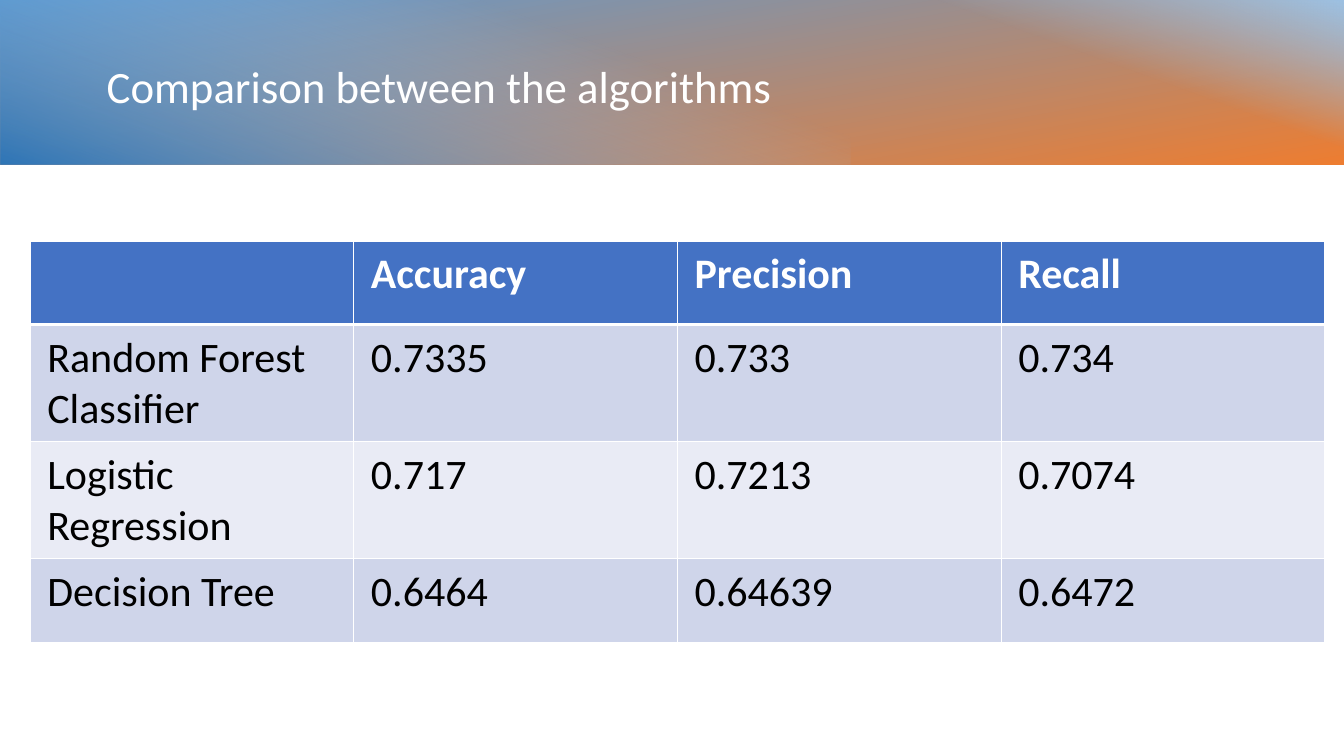
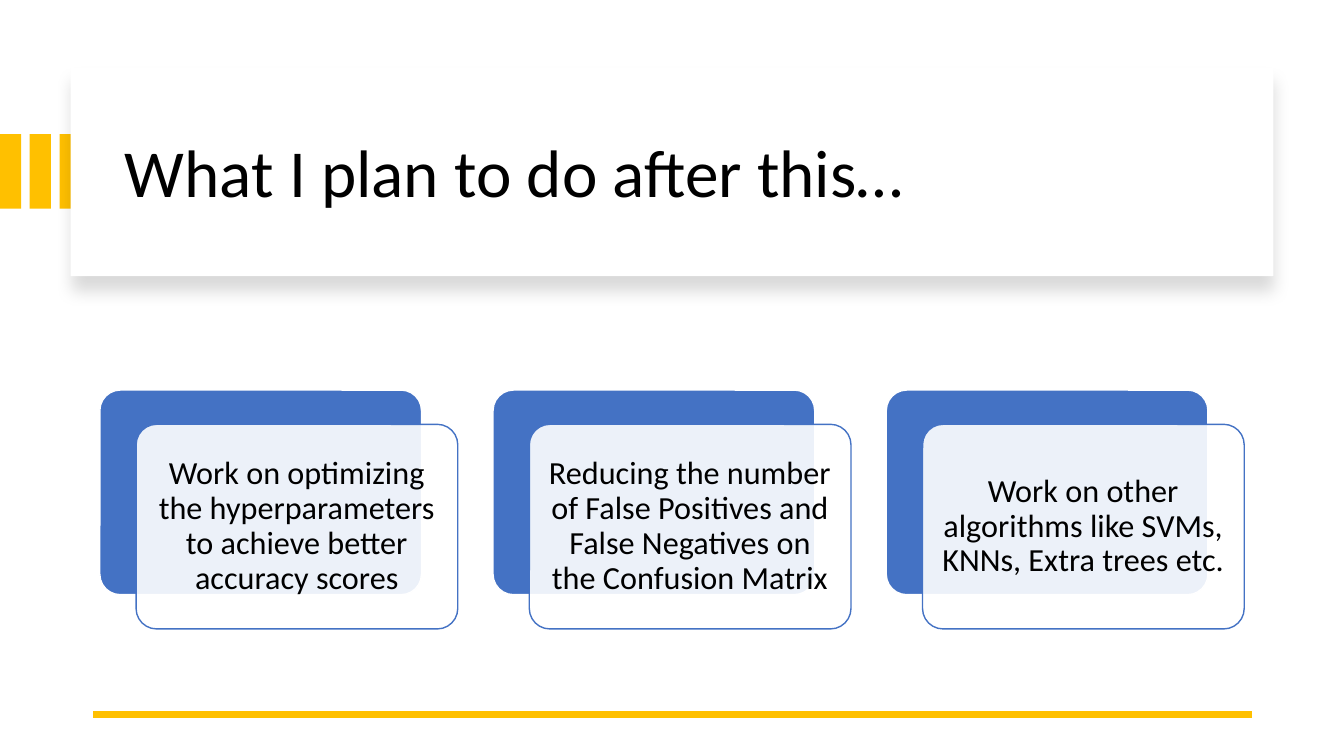
"""Build two slides: an algorithm comparison table and the planned next steps."""
from dataclasses import dataclass

from lxml import etree
from pptx import Presentation
from pptx import util as u
from pptx.dml.color import RGBColor
from pptx.enum import shapes, text
from pptx.oxml.ns import qn

FONT = "Calibri"
WHITE = RGBColor(0xFF, 0xFF, 0xFF)
BLACK = RGBColor(0x00, 0x00, 0x00)
BLUE = RGBColor(0x44, 0x72, 0xC4)
SKY = RGBColor(0x5B, 0x9B, 0xD5)
PALE_SKY = RGBColor(0x9D, 0xC3, 0xE6)
DEEP_BLUE = RGBColor(0x2E, 0x75, 0xB6)
ORANGE = RGBColor(0xED, 0x7D, 0x31)
GOLD = RGBColor(0xFF, 0xC0, 0x00)
BANDS = (RGBColor(0xCF, 0xD5, 0xEA), RGBColor(0xE9, 0xEB, 0xF5))
RECT = shapes.MSO_SHAPE.RECTANGLE
ROUNDED = shapes.MSO_SHAPE.ROUNDED_RECTANGLE


@dataclass(frozen=True)
class Box:
    left: float
    top: float
    width: float
    height: float

    def lengths(self) -> tuple:
        return tuple(u.Inches(v) for v in (self.left, self.top, self.width, self.height))


@dataclass(frozen=True)
class Stop:
    position: float
    color: RGBColor
    opacity: int = 100


@dataclass(frozen=True)
class BannerLayer:
    box: Box
    rotation: int
    stops: tuple
    angle: int


BANNER = (
    BannerLayer(Box(5.84, -5.87, 1.66, 13.34), 270, (Stop(0, SKY), Stop(1, ORANGE)), 170),
    BannerLayer(Box(9.75, -1.97, 1.65, 5.54), 270,
                (Stop(0.59, PALE_SKY, 0), Stop(1, PALE_SKY)), 20),
    BannerLayer(Box(3.39, -3.42, 1.66, 8.44), 90,
                (Stop(0.29, PALE_SKY, 0), Stop(1, DEEP_BLUE)), 20),
)
SCORES = (
    ("", "Accuracy", "Precision", "Recall"),
    ("Random Forest Classifier", "0.7335", "0.733", "0.734"),
    ("Logistic Regression", "0.717", "0.7213", "0.7074"),
    ("Decision Tree", "0.6464", "0.64639", "0.6472"),
)
PLANS = (
    "Work on optimizing the hyperparameters to achieve better accuracy scores",
    "Reducing the number of False Positives and False Negatives on the Confusion Matrix",
    "Work on other algorithms like SVMs, KNNs, Extra trees etc.",
)


def set_opacity(color_element, percent: int) -> None:
    etree.SubElement(color_element, qn("a:alpha"), val=str(percent * 1000))


def add_run(p, words: str, size: float, color: RGBColor, bold: bool = False) -> None:
    r = p.add_run()
    r.text = words
    r.font.name = FONT
    r.font.size = u.Pt(size)
    r.font.bold = bold
    r.font.color.rgb = color


def add_shape(s, kind, box: Box, fill: RGBColor, line: RGBColor | None = None):
    sp = s.shapes.add_shape(kind, *box.lengths())
    sp.shadow.inherit = False
    sp.fill.solid()
    sp.fill.fore_color.rgb = fill
    if line is None:
        sp.line.fill.background()
    else:
        sp.line.color.rgb = line
        sp.line.width = u.Pt(1)
    return sp


def add_title(s, words: str, box: Box, size: float, color: RGBColor) -> None:
    tf = s.shapes.add_textbox(*box.lengths()).text_frame
    tf.word_wrap = True
    tf.vertical_anchor = text.MSO_ANCHOR.MIDDLE
    p = tf.paragraphs[0]
    p.line_spacing = 0.9
    add_run(p, words, size, color)


def add_banner_layer(s, layer: BannerLayer) -> None:
    sp = add_shape(s, RECT, layer.box, WHITE)
    sp.rotation = layer.rotation
    sp.fill.gradient()
    sp.fill.gradient_angle = 360 - layer.angle
    for target, stop in zip(sp.fill.gradient_stops, layer.stops):
        target.position = stop.position
        target.color.rgb = stop.color
    for color, stop in zip(sp.element.spPr.iter(qn("a:srgbClr")), layer.stops):
        if stop.opacity < 100:
            set_opacity(color, stop.opacity)


def set_borders(cell, widths: dict) -> None:
    tc_pr = cell._tc.get_or_add_tcPr()
    for index, (side, width) in enumerate(widths.items()):
        ln = etree.Element(qn(f"a:ln{side}"), w=str(u.Pt(width)))
        fill = etree.SubElement(ln, qn("a:solidFill"))
        etree.SubElement(fill, qn("a:srgbClr"), val=str(WHITE))
        tc_pr.insert(index, ln)


def add_score_table(s, box: Box) -> None:
    frame = s.shapes.add_table(len(SCORES), len(SCORES[0]), *box.lengths())
    table = frame.table
    table.first_row = table.horz_banding = False
    for i, row in enumerate(SCORES):
        header = i == 0
        for j, words in enumerate(row):
            cell = table.cell(i, j)
            cell.margin_left = cell.margin_right = u.Inches(0.17)
            cell.margin_top = cell.margin_bottom = u.Inches(0.08)
            cell.fill.solid()
            cell.fill.fore_color.rgb = BLUE if header else BANDS[(i - 1) % 2]
            set_borders(cell, {"L": 1, "R": 1, "T": 3 if i == 1 else 1, "B": 3 if header else 1})
            if words:
                add_run(cell.text_frame.paragraphs[0], words, 30,
                        WHITE if header else BLACK, header)


def add_title_panel(s, box: Box) -> None:
    sp = add_shape(s, RECT, box, WHITE)
    effects = sp.element.spPr.find(qn("a:effectLst"))
    shadow = etree.SubElement(effects, qn("a:outerShdw"), blurRad=str(u.Pt(11)),
                              dist=str(u.Pt(10)), dir=str(90 * 60000), rotWithShape="0")
    set_opacity(etree.SubElement(shadow, qn("a:srgbClr"), val=str(BLACK)), 15)


def add_plan_card(s, left: float, words: str) -> None:
    back = add_shape(s, ROUNDED, Box(left, 3.87, 3.19, 2.03), BLUE, WHITE)
    front = add_shape(s, ROUNDED, Box(left + 0.36, 4.21, 3.19, 2.03), WHITE, BLUE)
    for sp in (back, front):
        sp.adjustments[0] = 0.1
    set_opacity(next(front.element.spPr.iter(qn("a:srgbClr"))), 90)
    tf = front.text_frame
    tf.word_wrap = True
    tf.vertical_anchor = text.MSO_ANCHOR.MIDDLE
    tf.margin_left = tf.margin_right = tf.margin_top = tf.margin_bottom = u.Inches(0.1)
    p = tf.paragraphs[0]
    p.alignment = text.PP_ALIGN.CENTER
    p.line_spacing = 0.9
    add_run(p, words, 23, BLACK)


def add_rule(s, start: float, end: float, y: float) -> None:
    cx = s.shapes.add_connector(shapes.MSO_CONNECTOR.STRAIGHT, u.Inches(start), u.Inches(y),
                                u.Inches(end), u.Inches(y))
    cx.line.color.rgb = GOLD
    cx.line.width = u.Pt(4.5)
    etree.SubElement(cx.element.spPr, qn("a:effectLst"))


def build_comparison(s) -> None:
    for layer in BANNER:
        add_banner_layer(s, layer)
    add_title(s, "Comparison between the algorithms", Box(0.96, 0.33, 11.46, 1.1), 32, WHITE)
    add_score_table(s, Box(0.3, 2.39, 12.84, 3.32))


def build_plans(s) -> None:
    for i in range(3):
        add_shape(s, RECT, Box(i * 0.295, 1.33, 0.21, 0.74), GOLD)
    add_title_panel(s, Box(0.7, 0.67, 11.93, 2.07))
    add_title(s, "What I plan to do after this…", Box(1.14, 0.89, 11.13, 1.7), 48, BLACK)
    add_rule(s, 12.42, 0.92, 7.09)
    for i, words in enumerate(PLANS):
        add_plan_card(s, 0.99 + i * 3.9, words)


def main() -> None:
    prs = Presentation()
    prs.slide_width, prs.slide_height = u.Inches(13.33), u.Inches(7.5)
    for build in (build_comparison, build_plans):
        build(prs.slides.add_slide(prs.slide_layouts[6]))
    prs.save("out.pptx")


if __name__ == "__main__":
    main()
